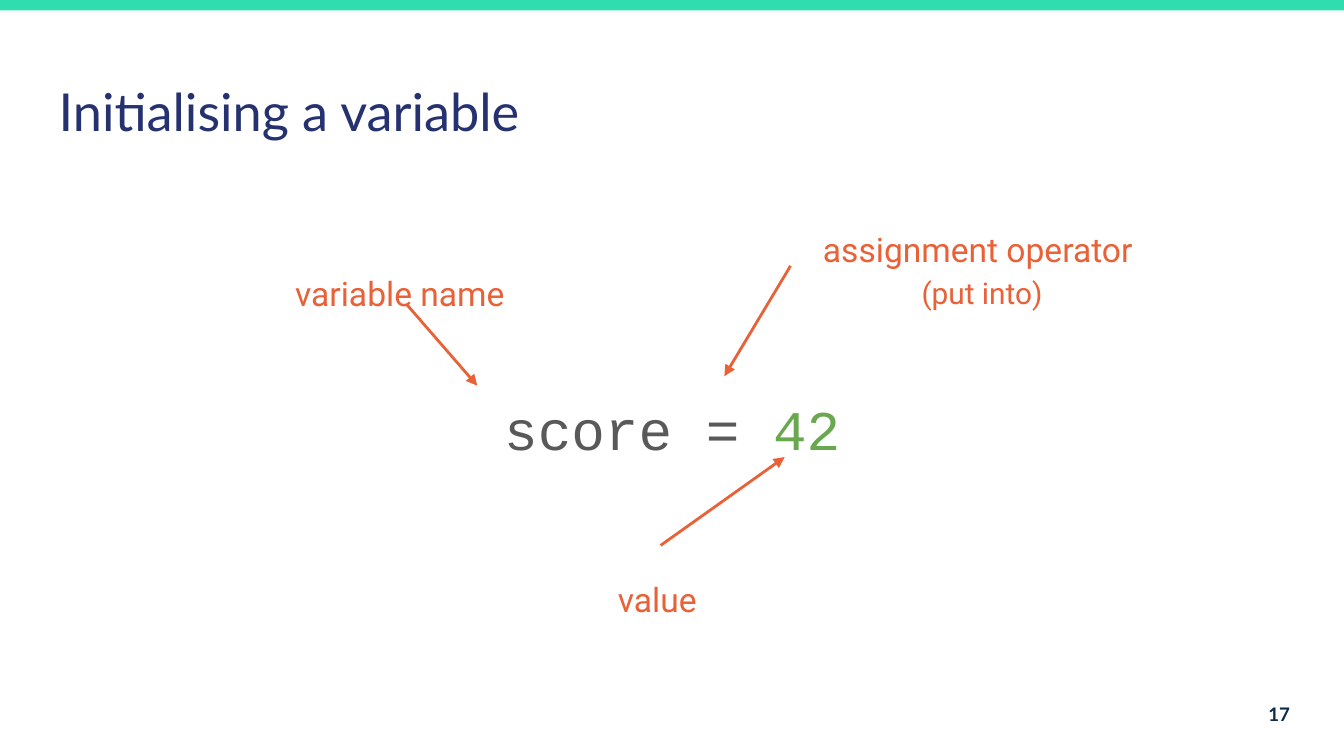
import pptx
import pptx.util
import pptx.dml.color
import pptx.enum.shapes
import pptx.enum.text
import pptx.oxml.ns
import lxml.etree

Cm = pptx.util.Cm
Pt = pptx.util.Pt
ALIGN = pptx.enum.text.PP_ALIGN
TOP, LEFT, BOTTOM = 0, 1, 2
ORANGE = "E96137"


def colour(value):
    return pptx.dml.color.RGBColor.from_string(value)


def add_text(page, box, spans, size, font, align=ALIGN.LEFT, spacing=1.0, bold=False):
    text_box = page.shapes.add_textbox(*(Cm(length) for length in box))
    frame = text_box.text_frame
    frame.word_wrap = True
    frame.margin_left = frame.margin_right = Cm(0.25)
    frame.margin_top = frame.margin_bottom = Cm(0.25)
    para = frame.paragraphs[0]
    para.alignment = align
    para.line_spacing = spacing
    para.font.name = font
    para.font.size = Pt(size)
    para.font.bold = bold
    for text, shade in spans:
        span = para.add_run()
        span.text = text.rstrip("\n")
        span.font.color.rgb = colour(shade)
        if text.endswith("\n"):
            para.add_line_break()
    return text_box


def add_arrow(page, source, side, tip):
    arrow = page.shapes.add_connector(
        pptx.enum.shapes.MSO_CONNECTOR.STRAIGHT, 0, 0, Cm(tip[0]), Cm(tip[1])
    )
    arrow.begin_connect(source, side)
    arrow.line.color.rgb = colour(ORANGE)
    arrow.line.width = Pt(1.5)
    qn = pptx.oxml.ns.qn
    properties = arrow.element.spPr
    lxml.etree.SubElement(properties.find(qn("a:ln")), qn("a:tailEnd"), type="triangle")
    lxml.etree.SubElement(properties, qn("a:effectLst"))
    return arrow


def add_bar(page, box):
    bar = page.shapes.add_shape(
        pptx.enum.shapes.MSO_SHAPE.RECTANGLE, *(Cm(length) for length in box)
    )
    bar.shadow.inherit = False
    bar.fill.solid()
    bar.fill.fore_color.rgb = colour("30DDAE")
    bar.line.fill.background()


def add_title(page, box):
    add_text(page, box, [("Initialising a variable", "25326F")], 28, "Lato")


def add_page_number(page, box):
    number = add_text(page, box, [("17", "0C2A4A")], 10, "Lato", ALIGN.RIGHT, bold=True)
    number.text_frame.vertical_anchor = pptx.enum.text.MSO_ANCHOR.MIDDLE


def add_diagram(page, box):
    left, top = box[:2]

    def place(x, y, width, height):
        return left + x, top + y, width, height

    def label(area, text):
        return add_text(page, area, [(text, ORANGE)], 18, "Roboto", spacing=1.5)

    name = label(place(0, 0.56, 4.72, 1.24), "variable name")
    operator = add_text(
        page, place(9.61, 0, 7.24, 2.13),
        [("assignment operator \n", ORANGE), ("(put into)", ORANGE)],
        18, "Roboto", ALIGN.CENTER, 1.15,
    )
    operator.text_frame.paragraphs[0].runs[-1].font.size = Pt(16)
    value = label(place(6.1, 6.35, 2.11, 1.04), "value")
    code = add_text(
        page, place(3.69, 2.62, 7.37, 1.42),
        [("score = ", "595959"), ("42", "6AA84F")],
        30, "Courier New", ALIGN.CENTER, 1.5,
    )

    add_arrow(page, name, BOTTOM, (left, top)).end_connect(code, LEFT)
    add_arrow(page, operator, LEFT, (left + 8.36, top + 3.15))
    add_arrow(page, value, TOP, (left + 9.5, top + 4.68))


def main():
    deck = pptx.Presentation()
    deck.slide_width = Cm(25.4)
    deck.slide_height = Cm(14.29)
    page = deck.slides.add_slide(deck.slide_layouts[6])
    add_title(page, (0.86, 1.24, 23.67, 1.6))
    add_page_number(page, (23.11, 12.95, 1.52, 1.09))
    add_bar(page, (0, 0, 25.4, 0.2))
    add_diagram(page, (5.33, 3.96, 16.85, 7.39))
    deck.save("out.pptx")


if __name__ == "__main__":
    main()
